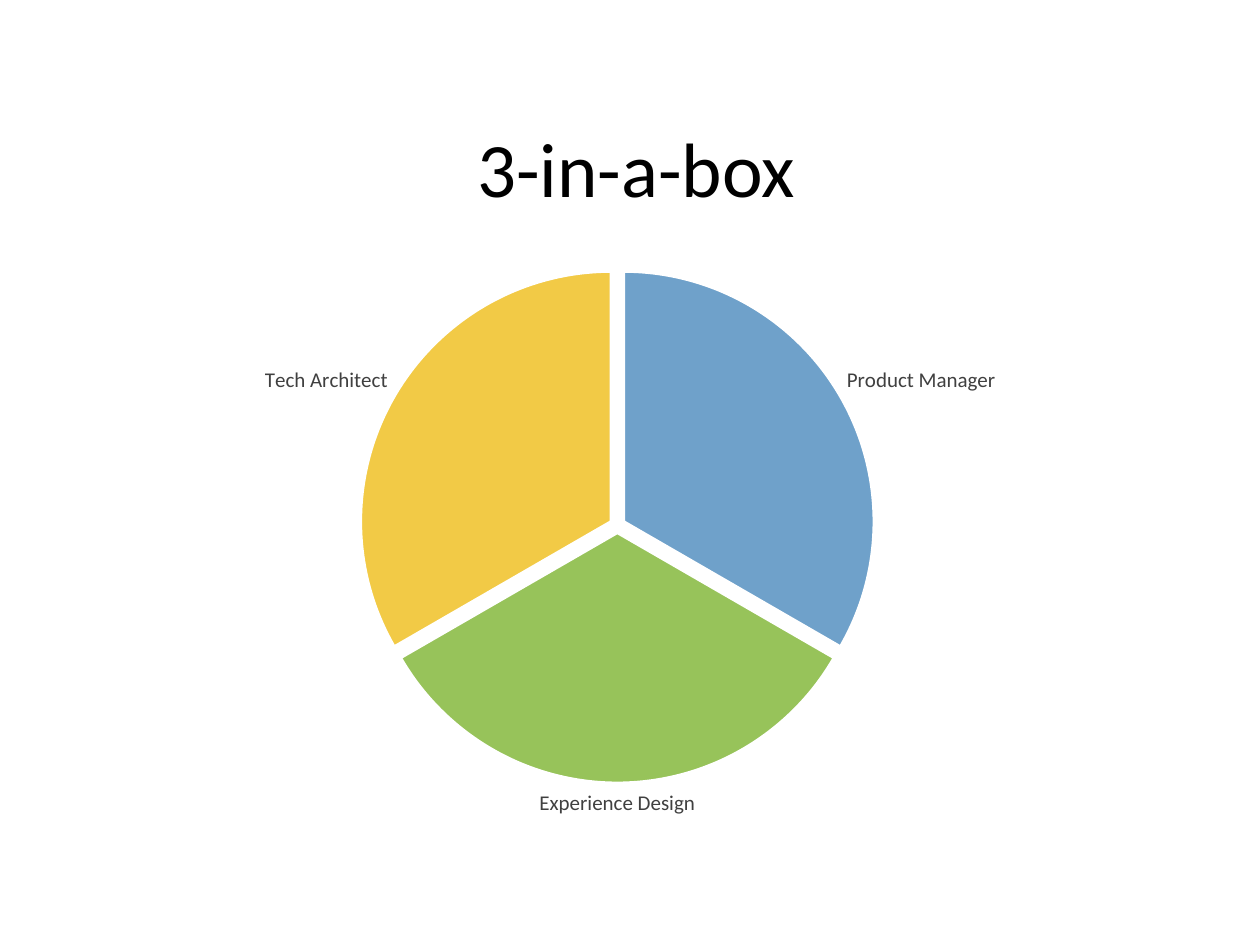
import dataclasses

import lxml.etree
import pptx
import pptx.chart.data
import pptx.dml.color
import pptx.enum.chart
import pptx.enum.text
import pptx.oxml.ns
import pptx.util


@dataclasses.dataclass(frozen=True)
class Theme:
    """Hold the colours and type of the slide."""
    font: str = "Calibri"
    title_size: int = 44
    chart_size: int = 10
    label_size: int = 12
    black: str = "000000"
    label: str = "404040"
    gap: str = "FFFFFF"
    slices: tuple = ("6FA1CA", "97C35A", "F2CA46")


THEME = Theme()
WIDTH, HEIGHT = 10, 7.5
ROLES = ("Product Manager", "Experience Design", "Tech Architect")
SHARE = 33
CHART_BOX = (0.5, 2.03, 9, 4.53)
PIE_CENTRE = (4.4, 2.14)
PIE_DIAMETER = 3.97


def rgb(code):
    """Return the colour for a hexadecimal code."""
    return pptx.dml.color.RGBColor.from_string(code)


def style_font(font, size, colour):
    """Set the face, size and colour of a font."""
    font.name = THEME.font
    font.size = pptx.util.Pt(size)
    font.color.rgb = rgb(colour)


def set_title(page, text, box):
    """Place and write the centred slide title."""
    title = page.shapes.title
    title.left, title.top, title.width, title.height = map(pptx.util.Inches, box)
    title.text_frame.vertical_anchor = pptx.enum.text.MSO_ANCHOR.MIDDLE
    para = title.text_frame.paragraphs[0]
    para.alignment = pptx.enum.text.PP_ALIGN.CENTER
    span = para.add_run()
    span.text = text
    style_font(span.font, THEME.title_size, THEME.black)


def place_plot(chart, chart_size, centre, diameter):
    """Fix the inner plot area to a square around the centre."""
    qn = pptx.oxml.ns.qn
    plot_area = chart.element.find(".//" + qn("c:plotArea"))
    for old in plot_area.findall(qn("c:layout")):
        plot_area.remove(old)
    layout = lxml.etree.Element(qn("c:layout"))
    manual = lxml.etree.SubElement(layout, qn("c:manualLayout"))
    left, top = ((middle - diameter / 2) / size
                 for middle, size in zip(centre, chart_size))
    width, height = (diameter / size for size in chart_size)
    settings = {"layoutTarget": "inner", "xMode": "edge", "yMode": "edge",
                "x": left, "y": top, "w": width, "h": height}
    for name, value in settings.items():
        lxml.etree.SubElement(manual, qn("c:" + name)).set("val", str(value))
    plot_area.insert(0, layout)


def explode(series, percent):
    """Pull every slice of a pie series away from the centre."""
    qn = pptx.oxml.ns.qn
    for point in series._element.findall(qn("c:dPt")):
        for old in point.findall(qn("c:explosion")):
            point.remove(old)
        explosion = lxml.etree.Element(qn("c:explosion"))
        explosion.set("val", str(percent))
        point.find(qn("c:spPr")).addprevious(explosion)


def add_role_pie(page):
    """Add the pie of equal roles with category labels."""
    data = pptx.chart.data.CategoryChartData()
    data.categories = ROLES
    data.add_series("Series 1", [SHARE] * len(ROLES))
    frame = page.shapes.add_chart(pptx.enum.chart.XL_CHART_TYPE.PIE,
                                  *map(pptx.util.Inches, CHART_BOX), data)
    chart = frame.chart
    chart.has_title = False
    chart.has_legend = False
    style_font(chart.font, THEME.chart_size, THEME.black)
    plot = chart.plots[0]
    plot.vary_by_categories = True
    series = plot.series[0]
    for index, colour in enumerate(THEME.slices):
        piece = series.points[index].format
        piece.fill.solid()
        piece.fill.fore_color.rgb = rgb(colour)
        piece.line.color.rgb = rgb(THEME.gap)
        piece.line.width = pptx.util.Pt(1.5)
    explode(series, 3)
    labels = series.data_labels
    labels.show_category_name = True
    labels.show_value = False
    labels.show_percentage = False
    labels.position = pptx.enum.chart.XL_LABEL_POSITION.OUTSIDE_END
    style_font(labels.font, THEME.label_size, THEME.label)
    place_plot(chart, CHART_BOX[2:], PIE_CENTRE, PIE_DIAMETER)


def main():
    """Build and save the slide."""
    deck = pptx.Presentation()
    deck.slide_width = pptx.util.Inches(WIDTH)
    deck.slide_height = pptx.util.Inches(HEIGHT)
    page = deck.slides.add_slide(deck.slide_layouts.get_by_name("Title Only"))
    set_title(page, "3-in-a-box", (0.55, 0.78, 9, 1.09))
    add_role_pie(page)
    deck.save("out.pptx")


if __name__ == "__main__":
    main()
